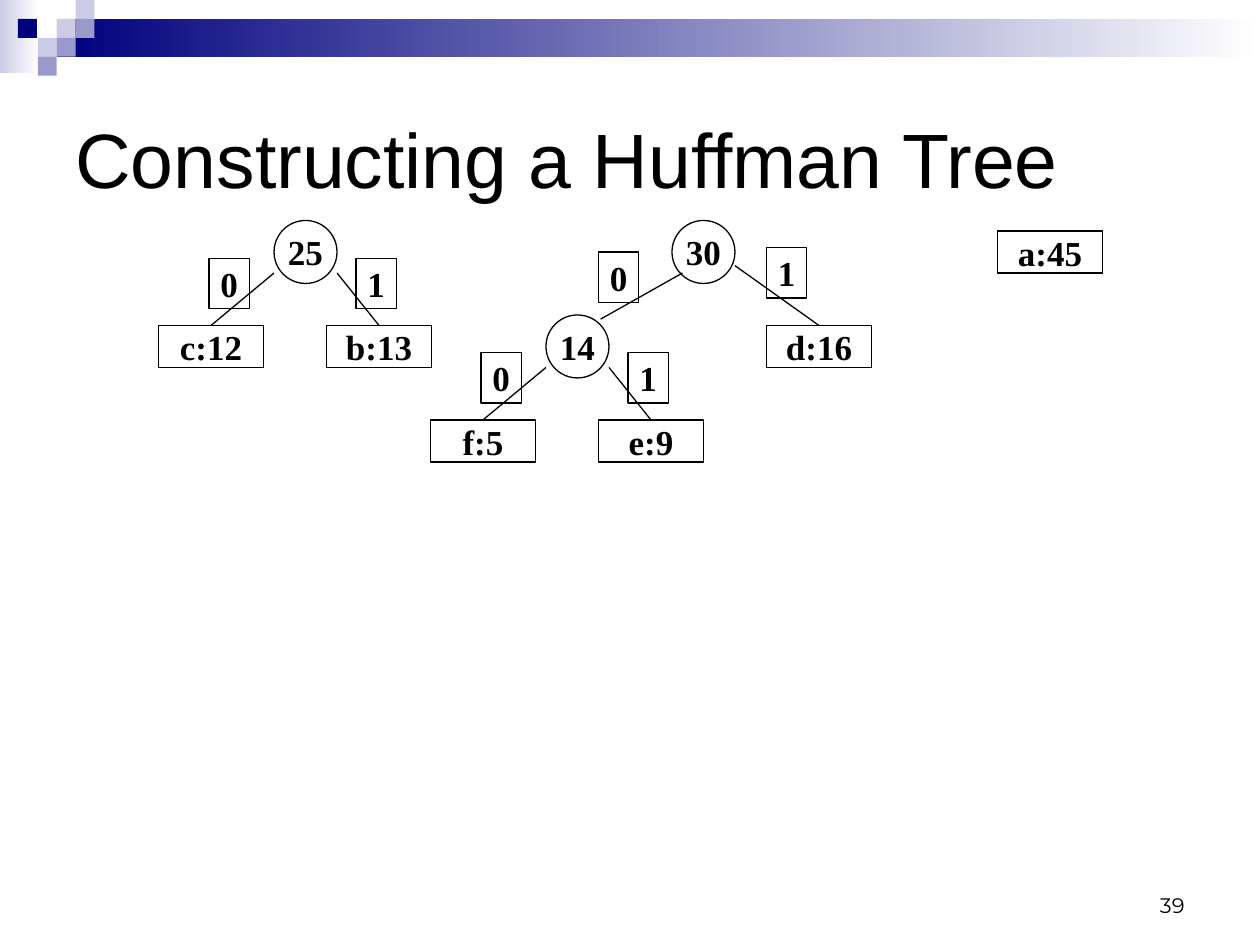
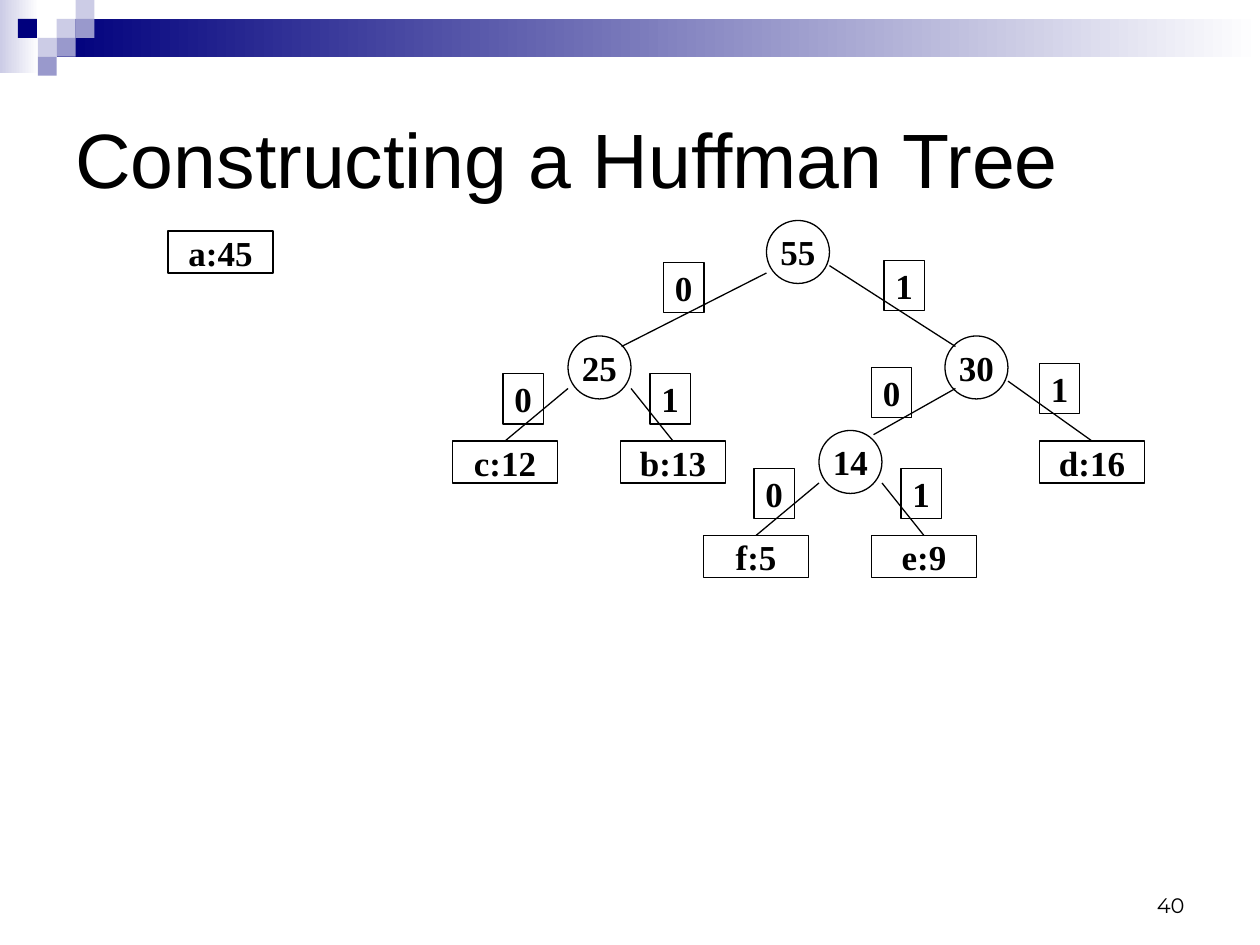
import pptx
import pptx.util
import pptx.dml.color
import pptx.enum.shapes
import pptx.enum.text
import pptx.oxml.ns
import lxml.etree

RGBColor = pptx.dml.color.RGBColor
SHAPE = pptx.enum.shapes.MSO_SHAPE
ANCHOR = pptx.enum.text.MSO_ANCHOR
ALIGN = pptx.enum.text.PP_ALIGN

BLACK = RGBColor(0x00, 0x00, 0x00)
WHITE = RGBColor(0xFF, 0xFF, 0xFF)
NAVY = RGBColor(0x00, 0x00, 0x7D)
LILAC = RGBColor(0xCC, 0xCC, 0xE6)
VIOLET = RGBColor(0x99, 0x99, 0xCC)

# The page is a grid of 120 columns by 90 rows, twelve to the inch.
COLS, ROWS = 120, 90
TILE = 1.8
CIRCLE = (6, 6)
LEAF = (10, 4)
BIT = (3.84, 4.8)
HEADER_TILES = [(3, 1, LILAC), (4, 0, LILAC), (4, 1, VIOLET), (2, 2, LILAC),
                (0.95, 1, NAVY), (3, 2, VIOLET), (2, 3, VIOLET)]


def grid(*cells):
    return [pptx.util.Inches(n / 12) for n in cells]


def shift(at, by):
    return at[0] + by[0], at[1] + by[1]


def write(sp, text, size=20, font="Times New Roman", bold=False,
          align=ALIGN.CENTER, anchor=ANCHOR.MIDDLE, wrap=False):
    tf = sp.text_frame
    tf.word_wrap = wrap
    tf.vertical_anchor = anchor
    p = tf.paragraphs[0]
    p.alignment = align
    r = p.add_run()
    r.text = text
    r.font.size = pptx.util.Pt(size)
    r.font.name = font
    r.font.bold = bold
    r.font.color.rgb = BLACK


def add_block(slide, cells, *colours):
    """Borderless rectangle: one colour is solid, two fade from left to right."""
    sp = slide.shapes.add_shape(SHAPE.RECTANGLE, *grid(*cells))
    sp.shadow.inherit = False
    sp.line.fill.background()
    if len(colours) == 1:
        sp.fill.solid()
        sp.fill.fore_color.rgb = colours[0]
    else:
        sp.fill.gradient()
        sp.fill.gradient_angle = 0
        for stop, colour in zip(sp.fill.gradient_stops, colours):
            stop.color.rgb = colour


def add_text(slide, cells, text, **style):
    write(slide.shapes.add_textbox(*grid(*cells)), text, wrap=True, **style)


def add_slide(prs, number):
    slide = prs.slides.add_slide(prs.slide_layouts[6])
    add_block(slide, (0, 0, 3.7, 7), LILAC, WHITE)
    add_block(slide, (3 * TILE, TILE, COLS - 3 * TILE, 2 * TILE), NAVY, WHITE)
    for col, row, colour in HEADER_TILES:
        add_block(slide, (col * TILE, row * TILE, TILE, TILE), colour)
    add_text(slide, (86, 82, 28, 6), number, size=12, font="Montserrat",
             align=ALIGN.RIGHT, anchor=ANCHOR.BOTTOM)
    add_text(slide, (6, 6, 108, 18), "Constructing a Huffman Tree", size=44,
             font="Arial", align=ALIGN.LEFT)
    return slide


def add_outline(slide, kind, at, size, text):
    sp = slide.shapes.add_shape(kind, *grid(*at, *size))
    sp.shadow.inherit = False
    sp.fill.background()
    sp.line.color.rgb = BLACK
    sp.line.width = pptx.util.Pt(0.75)
    write(sp, text, bold=True)
    return sp


def add_leaf(slide, at, text):
    return add_outline(slide, SHAPE.RECTANGLE, at, LEAF, text)


def add_circle(slide, at, text):
    return add_outline(slide, SHAPE.OVAL, at, CIRCLE, text)


def add_branch(slide, at, bit, label, end, start=(0, 0), leaf=None):
    """Line up to the circle at `at`, with its bit; the offsets count from there."""
    line = slide.shapes.add_connector(pptx.enum.shapes.MSO_CONNECTOR.STRAIGHT,
                                      *grid(*shift(at, start), *shift(at, end)))
    if leaf is not None:
        line.begin_connect(leaf, 0)
    line.line.color.rgb = BLACK
    line.line.width = pptx.util.Pt(0.75)
    lxml.etree.SubElement(line.element.spPr, pptx.oxml.ns.qn("a:effectLst"))
    add_outline(slide, SHAPE.RECTANGLE, shift(at, label), BIT, bit)


def add_pair(slide, at, total, left, right):
    """Circle over two leaves."""
    leaves = [add_leaf(slide, shift(at, (dx, 10)), text)
              for dx, text in ((-11, left), (5, right))]
    add_circle(slide, at, total)
    add_branch(slide, at, "0", label=(-6.2, 3.6), end=(0, 5), leaf=leaves[0])
    add_branch(slide, at, "1", label=(7.8, 3.6), end=(6, 5), leaf=leaves[1])


def add_tree_25(slide, at):
    add_pair(slide, at, "25", "c:12", "b:13")


def add_tree_30(slide, at):
    add_pair(slide, shift(at, (-12, 9)), "14", "f:5", "e:9")
    leaf = add_leaf(slide, shift(at, (9, 10)), "d:16")
    add_circle(slide, at, "30")
    add_branch(slide, at, "0", label=(-7, 3), end=(1, 5), start=(-6.8, 9.4))
    add_branch(slide, at, "1", label=(9, 2.6), end=(6, 4.3), leaf=leaf)


def add_tree_55(slide, at):
    add_tree_25(slide, shift(at, (-18.9, 11)))
    add_tree_30(slide, shift(at, (17, 11)))
    add_circle(slide, at, "55")
    add_branch(slide, at, "0", label=(-9.8, 4), end=(0, 5), start=(-13.8, 12))
    add_branch(slide, at, "1", label=(11.2, 3.8), end=(6, 4.3), start=(18, 12))


def main():
    prs = pptx.Presentation()
    prs.slide_width, prs.slide_height = grid(COLS, ROWS)

    slide = add_slide(prs, "39")
    add_leaf(slide, (95, 22), "a:45")
    add_tree_25(slide, (26.1, 21))
    add_tree_30(slide, (64, 21))

    slide = add_slide(prs, "40")
    add_leaf(slide, (16, 22), "a:45")
    add_tree_55(slide, (73, 21))

    prs.save("out.pptx")


if __name__ == "__main__":
    main()
